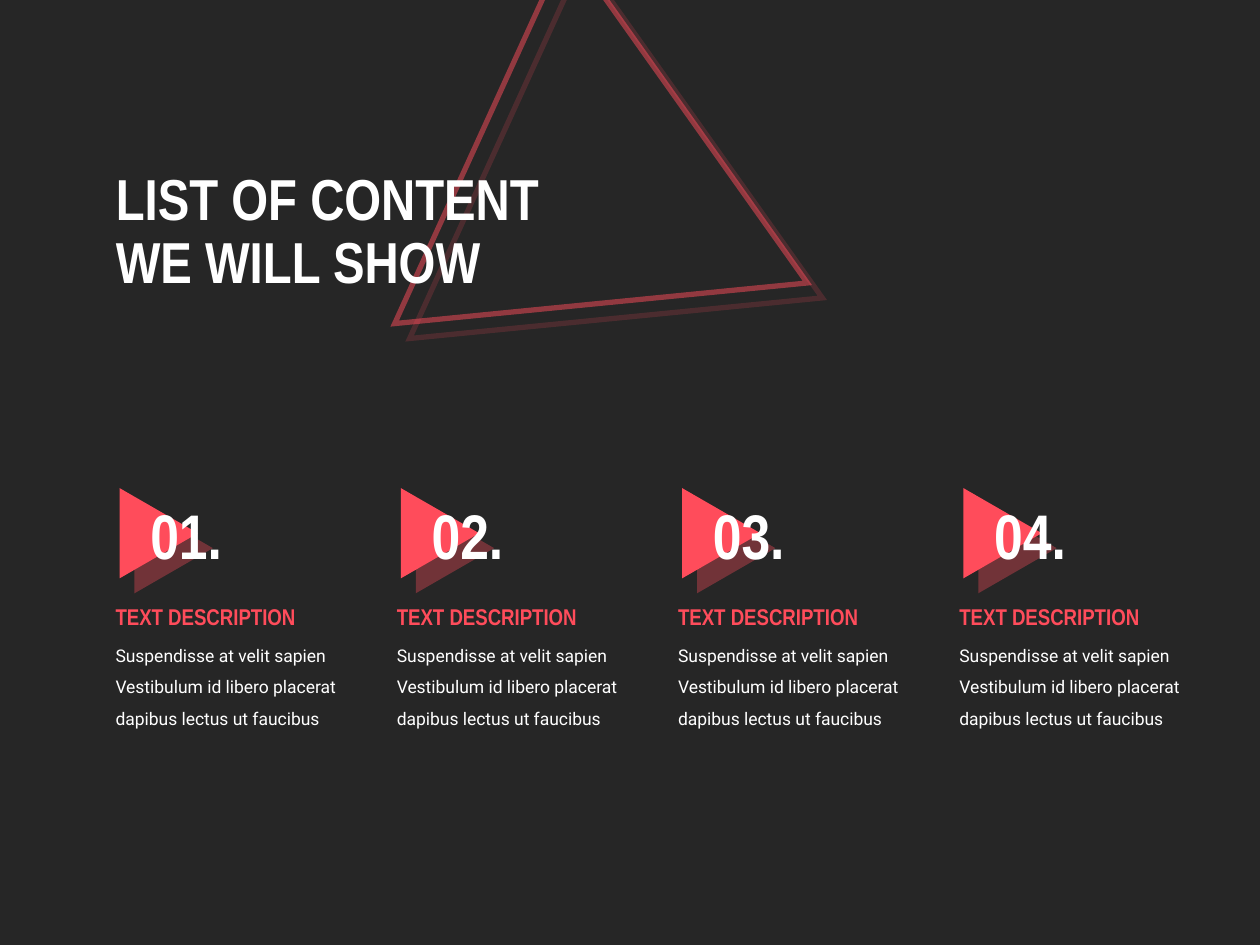
"""Build the list-of-content slide with four numbered columns."""
import pptx
import pptx.dml.color
import pptx.enum.shapes
import pptx.enum.text
import pptx.oxml
import pptx.oxml.ns
import pptx.util
from lxml import etree

Cm = pptx.util.Cm
Pt = pptx.util.Pt
RGBColor = pptx.dml.color.RGBColor
Align = pptx.enum.text.PP_ALIGN
Anchor = pptx.enum.text.MSO_ANCHOR
AutoSize = pptx.enum.text.MSO_AUTO_SIZE
qn = pptx.oxml.ns.qn

DARK = RGBColor(0x26, 0x26, 0x26)
CORAL = RGBColor(0xFF, 0x4C, 0x5B)
WHITE = RGBColor(0xFF, 0xFF, 0xFF)

TITLE = "LIST OF CONTENT\vWE WILL SHOW"
HEADING = "TEXT DESCRIPTION"
BODY = "Suspendisse at velit sapien Vestibulum id libero placerat dapibus lectus ut faucibus"
COLUMN_COUNT = 4
COLUMN_PITCH = 5.67
LEFT = 2.08


class ContentSlide:
    styles = {
        "title": {"name": "Arial Narrow", "size": Pt(33), "bold": True, "color": WHITE},
        "number": {"name": "Arial Narrow", "size": Pt(36), "bold": True, "color": WHITE},
        "heading": {"name": "Arial Narrow", "size": Pt(13), "bold": True, "color": CORAL},
        "body": {"name": "Roboto", "size": Pt(10), "bold": False, "color": WHITE},
    }
    spacing = {"title": 0.9, "body": 1.5}

    def __init__(self, deck):
        self.page = deck.slides.add_slide(deck.slide_layouts[5])
        self.page.background.fill.solid()
        self.page.background.fill.fore_color.rgb = DARK

    def fill_text(self, box, text, style):
        para = box.text_frame.paragraphs[0]
        para.text = text
        para.alignment = Align.LEFT
        para.line_spacing = self.spacing.get(style, 1.0)
        for span in para.runs:
            for key, value in self.styles[style].items():
                if key == "color":
                    span.font.color.rgb = value
                else:
                    setattr(span.font, key, value)

    def title(self, text, left, top, width, height):
        box = self.page.shapes.title
        place = {"left": left, "top": top, "width": width, "height": height}
        for key, value in place.items():
            setattr(box, key, Cm(value))
        frame = {"auto_size": AutoSize.NONE, "vertical_anchor": Anchor.MIDDLE, "word_wrap": True}
        for key, value in frame.items():
            setattr(box.text_frame, key, value)
        self.fill_text(box, text, "title")

    def text(self, text, style, left, top, width, height):
        box = self.page.shapes.add_textbox(Cm(left), Cm(top), Cm(width), Cm(height))
        frame = {"auto_size": AutoSize.SHAPE_TO_FIT_TEXT, "word_wrap": True}
        for key, value in frame.items():
            setattr(box.text_frame, key, value)
        self.fill_text(box, text, style)

    def triangle(self, left, top, width, height, rotation):
        shape = self.page.shapes.add_shape(
            pptx.enum.shapes.MSO_SHAPE.ISOSCELES_TRIANGLE,
            Cm(left), Cm(top), Cm(width), Cm(height))
        shape.rotation = rotation
        shape.fill.solid()
        shape.fill.fore_color.rgb = CORAL
        shape.line.fill.background()
        self.cast_shadow(shape)
        return shape

    def outline_triangle(self, left, top, width, height, rotation):
        shape = self.triangle(left, top, width, height, rotation)
        shape.fill.background()
        shape.line.color.rgb = CORAL
        shape.line.width = Pt(3)
        line = shape.element.spPr.find(qn("a:ln"))
        color = line.find(".//" + qn("a:srgbClr"))
        etree.SubElement(color, qn("a:alpha"), val="50000")
        etree.SubElement(line, qn("a:miter"), lim="800000")
        self.page.shapes.title.element.addprevious(shape.element)

    def cast_shadow(self, shape):
        shape.shadow.inherit = False
        effects = shape.element.spPr.find(qn("a:effectLst"))
        shadow = etree.SubElement(
            effects, qn("a:outerShdw"), blurRad="0", dist=str(int(Pt(12.1))),
            dir="2700000", algn="tl", rotWithShape="0")
        color = etree.SubElement(shadow, qn("a:srgbClr"), val=str(CORAL))
        etree.SubElement(color, qn("a:alpha"), val="35000")

    def column(self, index):
        left = LEFT + index * COLUMN_PITCH
        self.triangle(left + 0.21, 9.96, 1.82, 1.58, 90)
        self.text(f"{index + 1:02d}.", "number", left + 0.7, 9.88, 2.51, 1.78)
        self.text(BODY, "body", left, 12.66, 5.36, 2.15)
        self.text(HEADING, "heading", left, 12.02, 4.67, 1.37)


def main():
    deck = pptx.Presentation()
    deck.slide_width, deck.slide_height = Cm(25.4), Cm(19.05)
    slide = ContentSlide(deck)
    slide.title(TITLE, LEFT, 2.7, 10.73, 4.01)
    slide.outline_triangle(8.79, 0.59, 8.39, 7.23, 114.5)
    for index in range(COLUMN_COUNT):
        slide.column(index)
    deck.save("out.pptx")


if __name__ == "__main__":
    main()
